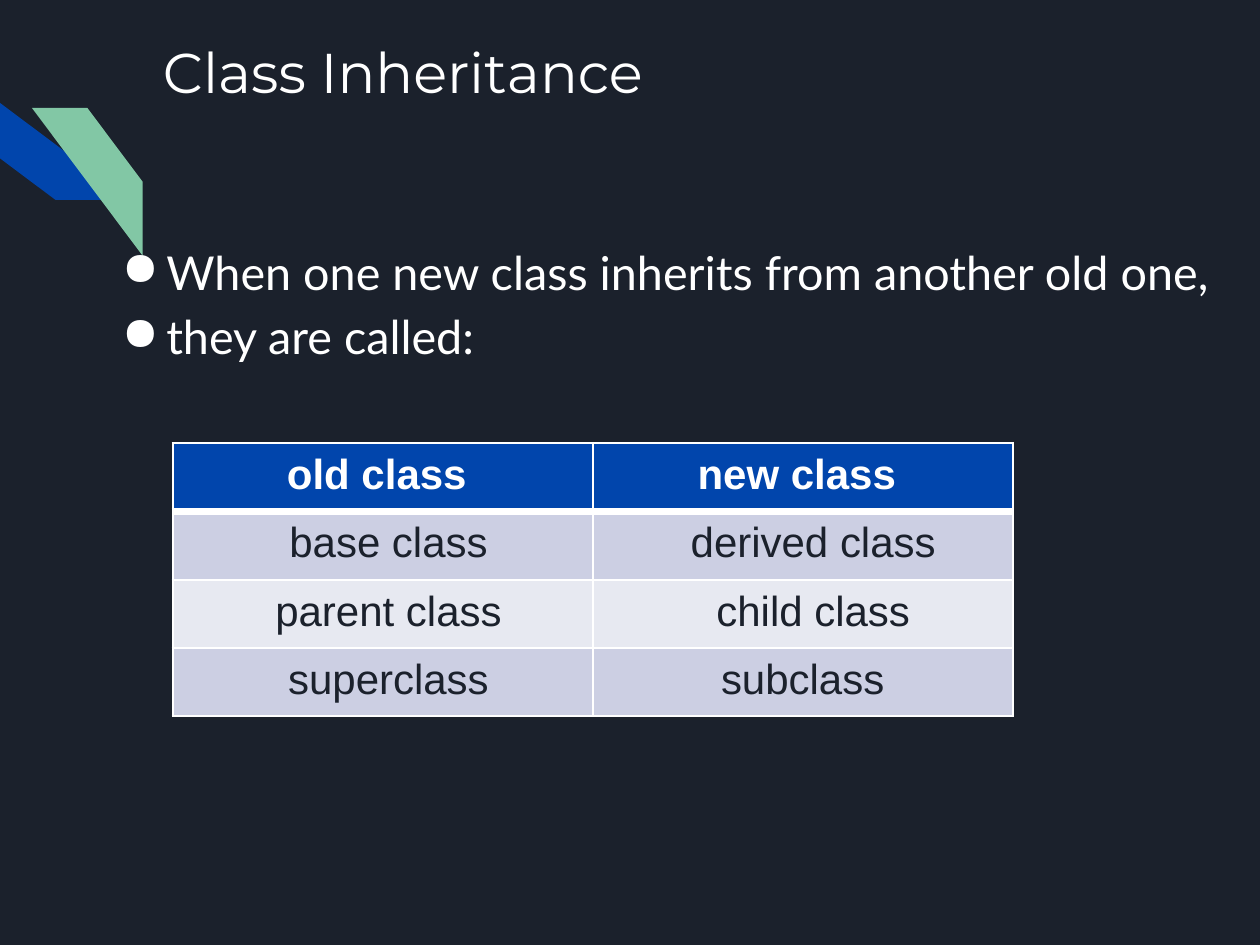
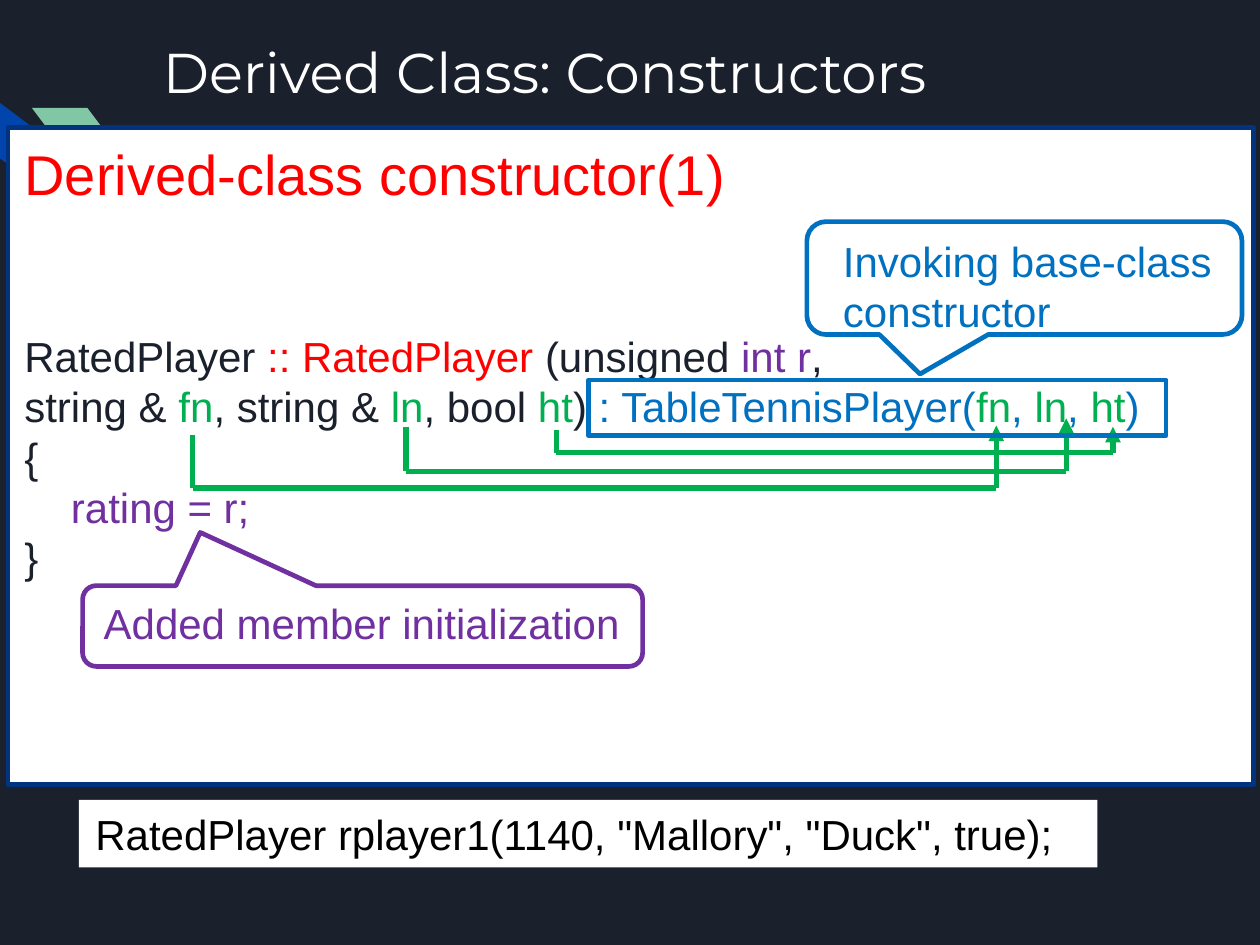
"""Build two dark slides on class inheritance and derived-class constructors."""
import pptx
import pptx.dml.color
import pptx.enum.shapes
import pptx.enum.text
import pptx.oxml
import pptx.oxml.ns
import pptx.util
from lxml import etree

Pt = pptx.util.Pt
RGBColor = pptx.dml.color.RGBColor
SHAPE = pptx.enum.shapes.MSO_SHAPE
ANCHOR = pptx.enum.text.MSO_ANCHOR
ALIGN = pptx.enum.text.PP_ALIGN
qn = pptx.oxml.ns.qn

NAVY = RGBColor(0x1B, 0x21, 0x2C)
BLUE = RGBColor(0x01, 0x45, 0xAC)
FRAME_BLUE = RGBColor(0x01, 0x33, 0x7F)
MINT = RGBColor(0x82, 0xC7, 0xA5)
WHITE = RGBColor(0xFF, 0xFF, 0xFF)
BLACK = RGBColor(0, 0, 0)
RED = RGBColor(0xFF, 0, 0)
GREEN = RGBColor(0, 0xB0, 0x50)
SKY = RGBColor(0, 0x70, 0xC0)
PURPLE = RGBColor(0x70, 0x30, 0xA0)
BAND_DARK = RGBColor(0xCC, 0xCF, 0xE3)
BAND_LIGHT = RGBColor(0xE7, 0xE9, 0xF1)


def write(tf, paragraphs, size=18, font="Arial", color=NAVY, bold=False,
          align=ALIGN.LEFT, anchor=ANCHOR.TOP, inset=None, spacing=None,
          margin=0, bullet=None):
    """Fill a text frame; a paragraph is a string or a list of (text, colour)."""
    tf.word_wrap = True
    tf.vertical_anchor = anchor
    if inset is not None:
        tf.margin_left = tf.margin_right = Pt(inset)
        tf.margin_top = tf.margin_bottom = Pt(inset)
    for i, runs in enumerate(paragraphs):
        p = tf.add_paragraph() if i else tf.paragraphs[0]
        p.alignment = align
        if spacing:
            p.line_spacing = spacing
        pPr = p._p.get_or_add_pPr()
        if margin:
            pPr.set("marL", str(Pt(margin)))
        if bullet:
            pPr.set("indent", str(Pt(-19)))
            clr = etree.SubElement(pPr, qn("a:buClr"))
            etree.SubElement(clr, qn("a:srgbClr"), val=str(color))
            etree.SubElement(pPr, qn("a:buChar"), char=bullet)
        for text, run_color in [(runs, color)] if isinstance(runs, str) else runs:
            r = p.add_run()
            r.text = text
            r.font.size, r.font.name, r.font.bold = Pt(size), font, bold
            r.font.color.rgb = run_color


def add_text(s, box, paragraphs, **fmt):
    """Add a text box."""
    sp = s.shapes.add_textbox(*map(Pt, box))
    write(sp.text_frame, paragraphs, **fmt)


def add_shape(s, kind, box, fill=None, line=None, adj=()):
    """Add a preset shape with an optional fill and a 2 pt outline."""
    sp = s.shapes.add_shape(kind, *map(Pt, box))
    sp.shadow.inherit = False
    if fill is None:
        sp.fill.background()
    else:
        sp.fill.solid()
        sp.fill.fore_color.rgb = fill
    if line is None:
        sp.line.fill.background()
    else:
        sp.line.color.rgb = line
        sp.line.width = Pt(2)
    for i, value in enumerate(adj):
        sp.adjustments[i] = value
    return sp


def add_route(s, points):
    """Draw a green polyline of connectors with an arrowhead at its end."""
    for start, end in zip(points, points[1:]):
        cx = s.shapes.add_connector(pptx.enum.shapes.MSO_CONNECTOR.STRAIGHT,
                                    *map(Pt, start + end))
        cx.line.color.rgb = GREEN
        cx.line.width = Pt(2.25)
        etree.SubElement(cx._element.spPr, qn("a:effectLst"))
    etree.SubElement(cx.line._get_or_add_ln(), qn("a:tailEnd"), type="triangle")


def set_borders(cell, **widths):
    """Give a cell white borders; widths are by side letter, in points."""
    tcPr = cell._tc.get_or_add_tcPr()
    for side in "LRTB":
        ln = etree.SubElement(tcPr, qn("a:ln" + side), w=str(Pt(widths.get(side, 1))))
        fill = etree.SubElement(ln, qn("a:solidFill"))
        etree.SubElement(fill, qn("a:srgbClr"), val=str(WHITE))


def add_class_table(s, rows):
    """Add the table of class names with a header row and banded body."""
    frame = s.shapes.add_table(len(rows), 2, Pt(74), Pt(190), Pt(360), Pt(116.8))
    table = frame.table
    for i, row in enumerate(rows):
        table.rows[i].height = Pt(29.2)
        for j, (text, margin) in enumerate(row):
            cell = table.cell(i, j)
            set_borders(cell, **({0: {"B": 3}, 1: {"T": 3}}.get(i, {})))
            cell.fill.solid()
            cell.fill.fore_color.rgb = (BAND_DARK if i % 2 else BAND_LIGHT) if i else BLUE
            write(cell.text_frame, [text], color=NAVY if i else WHITE,
                  bold=i == 0, align=ALIGN.CENTER, margin=margin)


def add_slide(prs, title):
    """Add a slide with the corner stripes and the title."""
    s = prs.slides.add_slide(prs.slide_layouts[6])
    blue = add_shape(s, SHAPE.DIAGONAL_STRIPE, (0, 30.2, 47.5, 63.4), BLUE, adj=[0.5])
    blue.rotation = 270
    mint = add_shape(s, SHAPE.DIAGONAL_STRIPE, (13.7, 46.2, 47.5, 63.4), MINT, adj=[0.5])
    mint._element.spPr.xfrm.set("flipH", "1")
    add_text(s, (64.8, 11, 469.4, 54), [title], size=24, font="Montserrat",
             color=WHITE, inset=5)
    return s


def build_inheritance(prs):
    """Build the slide on names for old and new classes."""
    s = add_slide(prs, "Class Inheritance")
    add_text(s, (37.4, 93.6, 497.5, 229),
             ["When one new class inherits from another old one,", "they are called:"],
             size=20, font="Lato", color=WHITE, inset=7.2, spacing=1.15,
             margin=26.8, bullet="●")
    add_class_table(s, [
        [("old class ", 0), ("new class ", 0)],
        [(" base class", 0), ("derived class", 9)],
        [(" parent class", 0), ("child class", 9)],
        [(" superclass", 0), ("subclass", 0)],
    ])


def build_constructors(prs):
    """Build the slide on the derived-class constructor."""
    s = add_slide(prs, "Derived Class: Constructors")
    panel = add_shape(s, SHAPE.RECTANGLE, (3.4, 54.8, 534, 281.6), WHITE, FRAME_BLUE)
    write(panel.text_frame, [
        [("RatedPlayer ", NAVY), (":: RatedPlayer ", RED), ("(unsigned ", NAVY),
         ("int r", PURPLE), (",", NAVY)],
        [("string & ", NAVY), ("fn", GREEN), (", string & ", NAVY), ("ln", GREEN),
         (", bool ", NAVY), ("ht", GREEN), (") ", NAVY),
         (": TableTennisPlayer(", SKY), ("fn", GREEN), (", ", SKY), ("ln", GREEN),
         (", ", SKY), ("ht", GREEN), (")", SKY)],
        "{",
        [("    rating = r;", PURPLE)],
        "}",
    ], anchor=ANCHOR.MIDDLE)
    add_text(s, (3.4, 56.2, 317.5, 36), ["Derived-class constructor(1)"],
             size=24, color=RED)
    add_text(s, (354.2, 97.2, 180.7, 51), ["Invoking base-class", "constructor"],
             color=SKY)
    add_shape(s, SHAPE.ROUNDED_RECTANGULAR_CALLOUT, (345.8, 95, 186.5, 48.4),
              line=SKY, adj=[-0.24, 0.85, 0.17])
    for x1, top, level, x2, tip in [(82.6, 186.5, 209.2, 427, 182.4),
                                    (174, 182.9, 202, 457, 179.3),
                                    (238.5, 184.3, 194, 477, 182.9)]:
        add_route(s, [(x1, top), (x1, level), (x2, level), (x2, tip)])
    add_text(s, (37.4, 252.7, 238, 29), ["Added member initialization"], color=PURPLE)
    add_shape(s, SHAPE.ROUNDED_RECTANGULAR_CALLOUT, (35.4, 251, 240, 34.6),
              line=PURPLE, adj=[-0.29, -1.16, 0.17])
    add_shape(s, SHAPE.RECTANGLE, (252.2, 162.9, 247.6, 23.8), line=SKY)
    call = add_shape(s, SHAPE.RECTANGLE, (33.8, 342.8, 436.5, 29), WHITE)
    write(call.text_frame, ['RatedPlayer rplayer1(1140, "Mallory", "Duck", true);'],
          color=BLACK)


def main():
    """Create the presentation and save it."""
    prs = pptx.Presentation()
    prs.slide_width, prs.slide_height = Pt(540), Pt(405)
    background = prs.slide_master.background.fill
    background.solid()
    background.fore_color.rgb = NAVY
    build_inheritance(prs)
    build_constructors(prs)
    prs.save("out.pptx")


if __name__ == "__main__":
    main()
